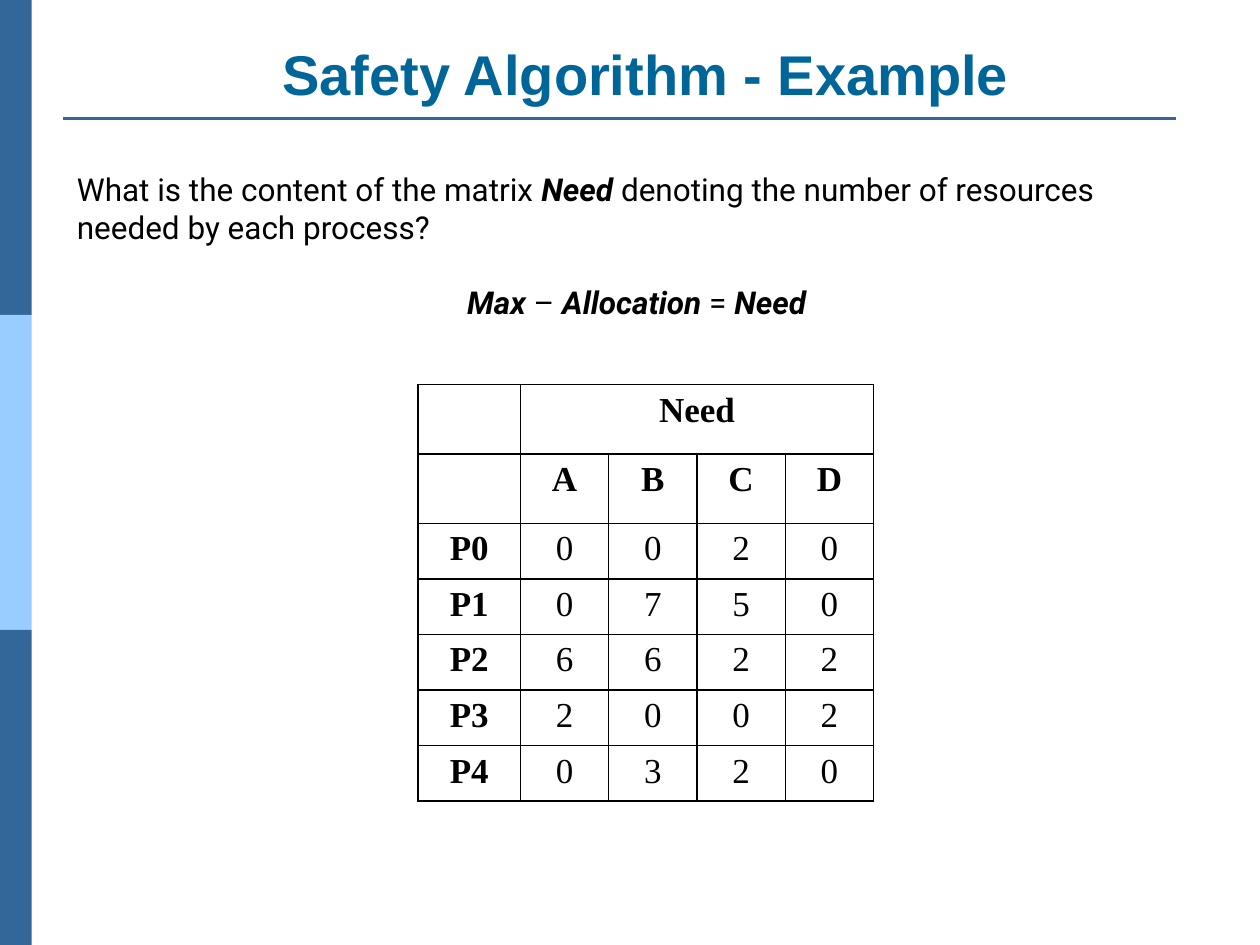
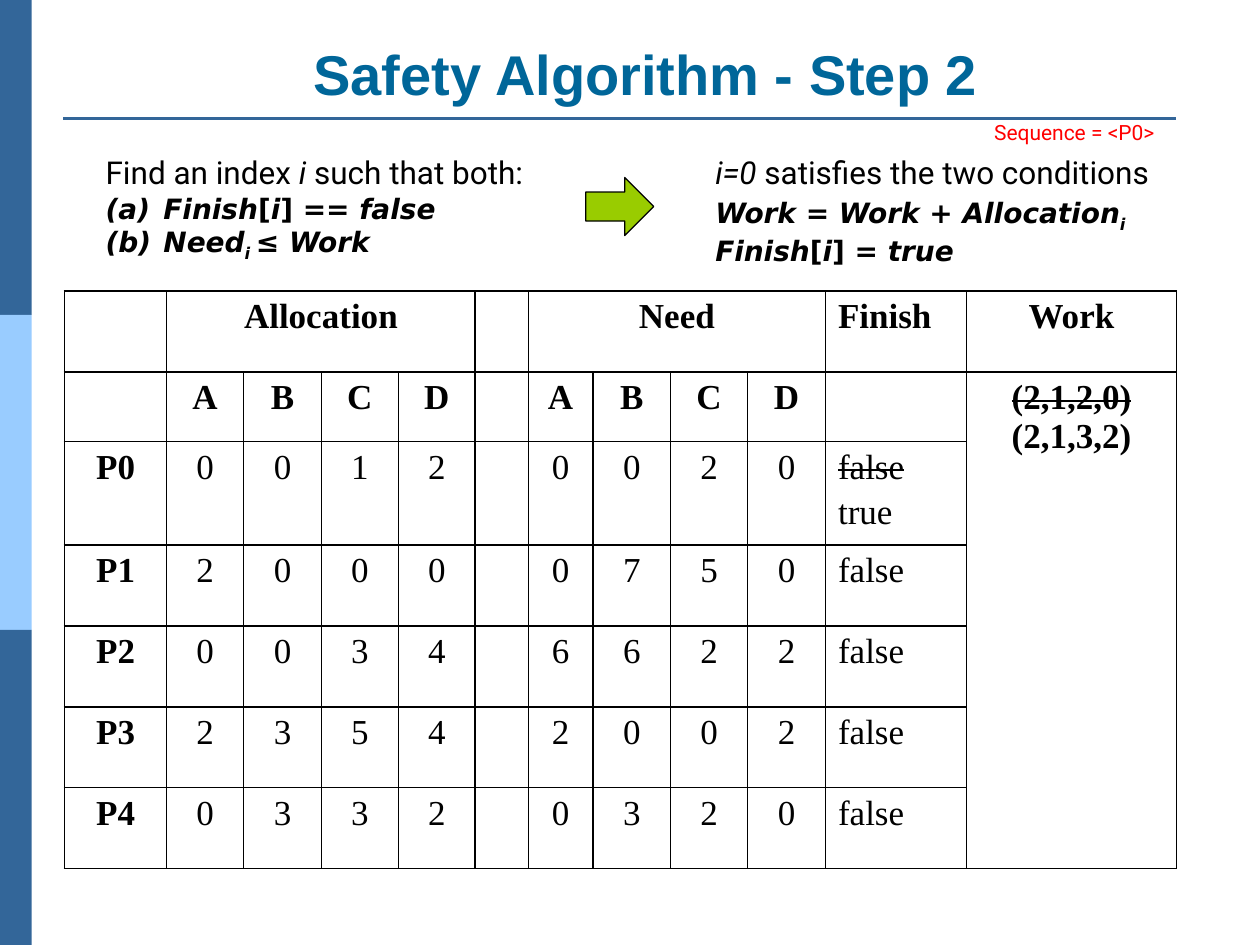
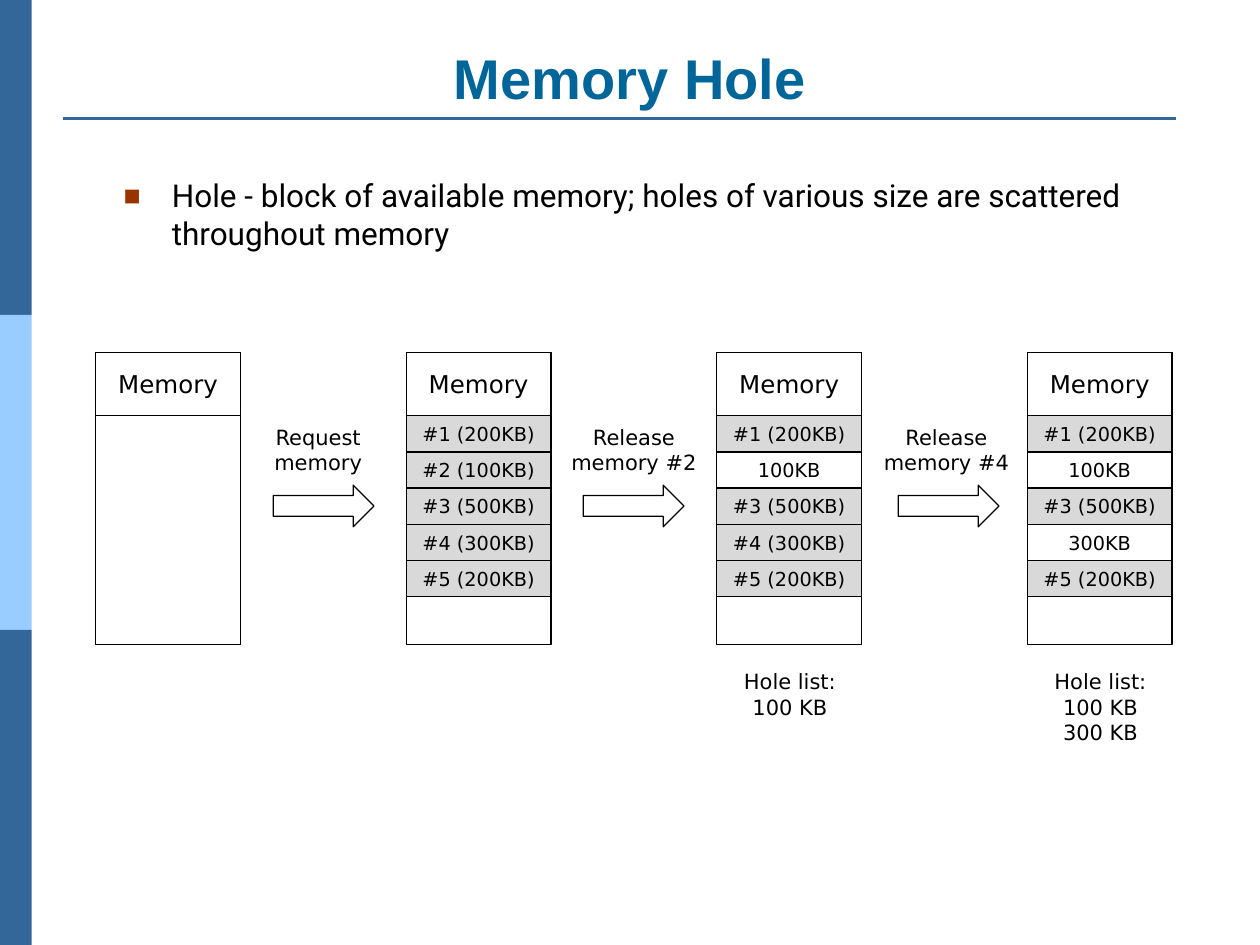
"""Build three slides on the safety algorithm and memory holes."""
from lxml.etree import SubElement
from pptx import Presentation
from pptx.dml.color import RGBColor
from pptx.enum.shapes import MSO_CONNECTOR, MSO_SHAPE as Kind
from pptx.enum.text import MSO_ANCHOR as Anchor, MSO_AUTO_SIZE as Fit, PP_ALIGN as Align
from pptx.oxml.ns import qn
from pptx.util import Cm, Pt

HUE = {"band": "336699", "light": "99CCFF", "title": "006699", "ink": "000000",
       "paper": "FFFFFF", "alert": "FF0000", "arrow": "99CC00", "used": "D9D9D9",
       "mark": "993300"}
SANS, MONO, SERIF = "Roboto", "DejaVu Sans", "Times New Roman"

STEP_TITLE = (1.3, 0.43, 23.44, 1.85)
HOLE_TITLE = (1.27, 0.76, 22.86, 1.6)

ASK = [[("What is the content of the matrix ", ""), ("Need ", "bi"),
        ("denoting the number of resources needed by each process?", "")]]
RULE = [[("Max", "bi"), (" – ", ""), ("Allocation", "bi"), (" = ", ""), ("Need", "bi")]]
FIND = [("Find an index ", ""), ("i ", "i"), ("such that both:", "")]
TESTS = [
    [(" Finish", "bi"), ("[", "b"), ("i", "bi"), ("] == ", "b"), ("false", "bi")],
    [(" Need", "bi"), ("i ", "bid"), ("≤ ", "b"), ("Work", "bi")],
]
MEETS = [[("i=0", "i"), (" satisfies the two conditions", "")]]
SETS = [[("Work", "bi"), (" = ", "b"), ("Work", "bi"), (" + ", "b"),
         ("Allocation", "bi"), ("i", "bid"), ("\n", ""), ("Finish", "bi"),
         ("[", "b"), ("i", "bi"), ("] = ", "b"), ("true", "bi")]]

ALLOC = ["0012", "2000", "0034", "2354", "0332"]
NEED = ["0020", "0750", "6622", "2002", "0320"]
DONE = ["~false\ntrue"] + ["false"] * 4
NEED_ROWS = [["", "Need", "", "", ""], ["", *"ABCD"]] + [
    [f"P{i}", *need] for i, need in enumerate(NEED)]
STEP_ROWS = [
    ["", "Allocation", "", "", "", "", "Need", "", "", "", "Finish", "Work"],
    ["", *"ABCD", "", *"ABCD", "", "~(2,1,2,0)\n(2,1,3,2)"],
] + [[f"P{i}", *have, "", *need, done, ""]
     for i, (have, need, done) in enumerate(zip(ALLOC, NEED, DONE))]
NEED_COLS = [2.06] + [1.78] * 4
STEP_COLS = [2.06, 1.55, 1.57, 1.55, 1.55, 1.07, 1.3, 1.57, 1.55, 1.57, 2.84, 4.24]

HOLE = "Hole - block of available memory; holes of various size are scattered throughout memory"
SIZES = [200, 100, 500, 300, 200]
STAGES = [(None, []), ((), []), ((2,), ["100 KB"]), ((2, 4), ["100 KB", "300 KB"])]
MOVES = [
    (5.51, 4.98, 2.87, ["Request", "memory"]),
    (11.76, 11.25, 3.06, ["Release", "memory #2"]),
    (18.11, 17.53, 3.1, ["Release", "memory #4"]),
]


def tint(name):
    return RGBColor.from_string(HUE[name])


def cms(area):
    return [Cm(v) for v in area]


def write(para, runs, size, font, hue="ink", align=None):
    para.alignment = align
    for text, style in runs:
        if text == "\n":
            para.add_line_break()
            continue
        run = para.add_run()
        run.text = text
        face = run.font
        face.size, face.name = Pt(size), font
        face.bold, face.italic = "b" in style, "i" in style
        face.color.rgb = tint(hue)
        props = run._r.get_or_add_rPr()
        if "s" in style:
            props.set("strike", "sngStrike")
        if "d" in style:
            props.set("baseline", "-25000")


def fill_text(frame, paras, *look):
    for n, runs in enumerate(paras):
        para = frame.add_paragraph() if n else frame.paragraphs[0]
        write(para, runs, *look)


def indent(para, left, first, marks=()):
    props = para._p.get_or_add_pPr()
    props.set("marL", str(Cm(left)))
    props.set("indent", str(Cm(first)))
    for tag, attrs in marks:
        SubElement(props, qn(tag), attrs)


def box(slide, area, paras, *look, wrap=True):
    frame = slide.shapes.add_textbox(*cms(area)).text_frame
    frame.word_wrap = wrap
    frame.auto_size = Fit.SHAPE_TO_FIT_TEXT
    fill_text(frame, paras, *look)
    return frame


def block(slide, area, fill, text="", size=11, kind=Kind.RECTANGLE, edge="ink"):
    shape = slide.shapes.add_shape(kind, *cms(area))
    shape.shadow.inherit = False
    shape.fill.solid()
    shape.fill.fore_color.rgb = tint(fill)
    if edge:
        shape.line.color.rgb = tint(edge)
        shape.line.width = Pt(0.75)
    else:
        shape.line.fill.background()
    if text:
        frame = shape.text_frame
        frame.word_wrap = False
        frame.vertical_anchor = Anchor.MIDDLE
        write(frame.paragraphs[0], [(text, "")], size, MONO, "ink", Align.CENTER)
    return shape


def dress(deck, slide):
    parts = [block(slide, (0, 6.35 * n, 0.64, 6.35), hue, edge=None)
             for n, hue in enumerate(["band", "light", "band"])]
    rule = slide.shapes.add_connector(MSO_CONNECTOR.STRAIGHT, *cms((1.27, 2.39, 23.7, 2.39)))
    rule.line.color.rgb = tint("band")
    rule.line.width = Pt(1.5)
    SubElement(rule.element.spPr, qn("a:effectLst"))
    tree = deck.slide_master.shapes._spTree
    for n, part in enumerate(parts + [rule]):
        part.element.xpath(".//p:cNvPr")[0].set("id", str(20 + n))
        tree.insert(2 + n, part.element)


def start(deck, layout, area, text):
    slide = deck.slides.add_slide(deck.slide_layouts[layout])
    title = slide.shapes.title
    title.left, title.top, title.width, title.height = cms(area)
    frame = title.text_frame
    frame.auto_size = Fit.NONE
    frame.vertical_anchor = Anchor.BOTTOM
    write(frame.paragraphs[0], [(text, "b")], 32, "Arial", "title", Align.CENTER)
    return slide


def border(cell):
    props = cell._tc.get_or_add_tcPr()
    for n, side in enumerate("LRTB"):
        line = SubElement(props, qn(f"a:ln{side}"), {"w": str(Pt(1))})
        paint = SubElement(line, qn("a:solidFill"))
        SubElement(paint, qn("a:srgbClr"), {"val": HUE["ink"]})
        props.insert(n, line)


def grid(slide, left, top, rows, cols, highs, spans, flush=None):
    table = slide.shapes.add_table(len(rows), len(cols), Cm(left), Cm(top),
                                   Cm(sum(cols)), Cm(sum(highs))).table
    table.first_row = table.horz_banding = False
    for col, wide in zip(table.columns, cols):
        col.width = Cm(wide)
    for row, high in zip(table.rows, highs):
        row.height = Cm(high)
    for r, row in enumerate(rows):
        for c, text in enumerate(row):
            cell = table.cell(r, c)
            cell.fill.background()
            border(cell)
            if not text:
                continue
            bold = "b" if r < 2 or c == 0 else ""
            lines = [[(line.lstrip("~"), bold + "s" * line.startswith("~"))]
                     for line in text.split("\n")]
            align = Align.LEFT if c == flush else Align.CENTER
            fill_text(cell.text_frame, lines, 20, SERIF, "ink", align)
            if c == flush:
                for para in cell.text_frame.paragraphs[1:]:
                    para.space_before = Pt(4)
    for r, c, down, right in spans:
        table.cell(r, c).merge(table.cell(down, right))


def need_slide(deck):
    slide = start(deck, 5, STEP_TITLE, "Safety Algorithm - Example")
    dress(deck, slide)
    box(slide, (1.3, 3.3, 23.11, 1.8), ASK, 18, SANS)
    frame = box(slide, (7.9, 5.59, 9.58, 1.02), RULE, 18, SANS)
    indent(frame.paragraphs[0], 1.27, 0)
    grid(slide, 8.43, 7.75, NEED_ROWS, NEED_COLS, [1.4] * 2 + [1.12] * 5, [(0, 1, 0, 4)])


def step_slide(deck):
    slide = start(deck, 5, STEP_TITLE, "Safety Algorithm - Step 2")
    box(slide, (19.79, 2.29, 3.94, 0.76), [[("Sequence = <P0>", "")]], 12, SANS, "alert",
        wrap=False)
    grid(slide, 1.3, 5.87, STEP_ROWS, STEP_COLS, [1.63, 1.4] + [1.63] * 5,
         [(0, 1, 0, 4), (0, 6, 0, 9), (1, 11, 6, 11)], flush=10)
    frame = box(slide, (1.88, 2.97, 12.7, 2.39), [FIND], 18, SANS)
    for runs in TESTS:
        para = frame.add_paragraph()
        write(para, runs, 16, MONO)
        indent(para, 0.97, -0.97, [("a:buAutoNum", {"type": "alphaLcParenBoth"})])
    block(slide, (11.81, 3.58, 1.37, 1.17), "arrow", kind=Kind.RIGHT_ARROW)
    box(slide, (14.17, 2.97, 9.93, 1.02), MEETS, 18, SANS)
    box(slide, (14.17, 3.81, 9.53, 1.63), SETS, 16, MONO)


def hole_slide(deck):
    slide = start(deck, 1, HOLE_TITLE, "Memory Hole")
    body = slide.placeholders[1]
    body.left, body.top, body.width, body.height = cms((2.24, 3.43, 22.86, 3.15))
    body.text_frame.auto_size = Fit.NONE
    para = body.text_frame.paragraphs[0]
    write(para, [(HOLE, "")], 18, SANS)
    indent(para, 0.97, -0.97, [("a:buClr", {}), ("a:buSzPct", {"val": "90000"}),
                               ("a:buFont", {"typeface": "Arial"}),
                               ("a:buChar", {"char": "■"})])
    SubElement(para._p.pPr.find(qn("a:buClr")), qn("a:srgbClr"), {"val": HUE["mark"]})

    top, wide, head, high = 7.11, 2.92, 1.27, 0.73
    for n, (free, holes) in enumerate(STAGES):
        left = 1.93 + 6.26 * n
        block(slide, (left, top, wide, 5.89), "paper")
        block(slide, (left, top, wide, head), "paper", "Memory", 14)
        for k, size in enumerate(SIZES if free is not None else [], 1):
            gone = k in free
            text = f"{size}KB" if gone else f"#{k} ({size}KB)"
            block(slide, (left, top + head + high * (k - 1), wide, high),
                  "paper" if gone else "used", text)
        if holes:
            lines = [[(line, "")] for line in ["Hole list:"] + holes]
            box(slide, (left + 0.04, 13.36, 2.87, 0.2 + 0.53 * len(lines)), lines,
                12, MONO, "ink", Align.CENTER)
    for tail, left, span, words in MOVES:
        block(slide, (tail, 9.78, 2.03, 0.84), "paper", kind=Kind.RIGHT_ARROW)
        box(slide, (left, 8.43, span, 1.27), [[(word, "")] for word in words],
            12, MONO, "ink", Align.CENTER)


def main():
    deck = Presentation()
    deck.slide_width, deck.slide_height = Cm(25.4), Cm(19.05)
    for make in (need_slide, step_slide, hole_slide):
        make(deck)
    deck.save("out.pptx")


if __name__ == "__main__":
    main()
